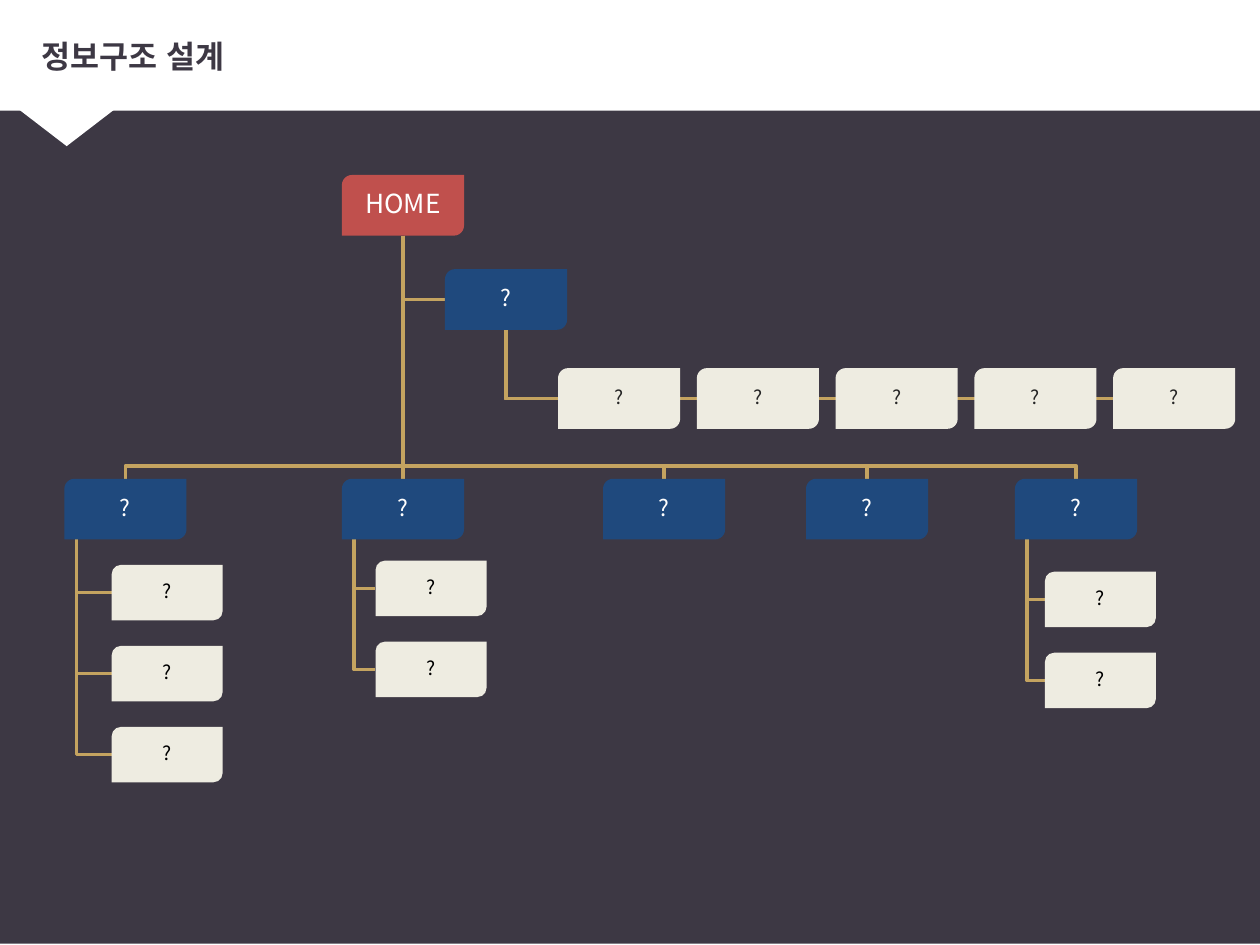
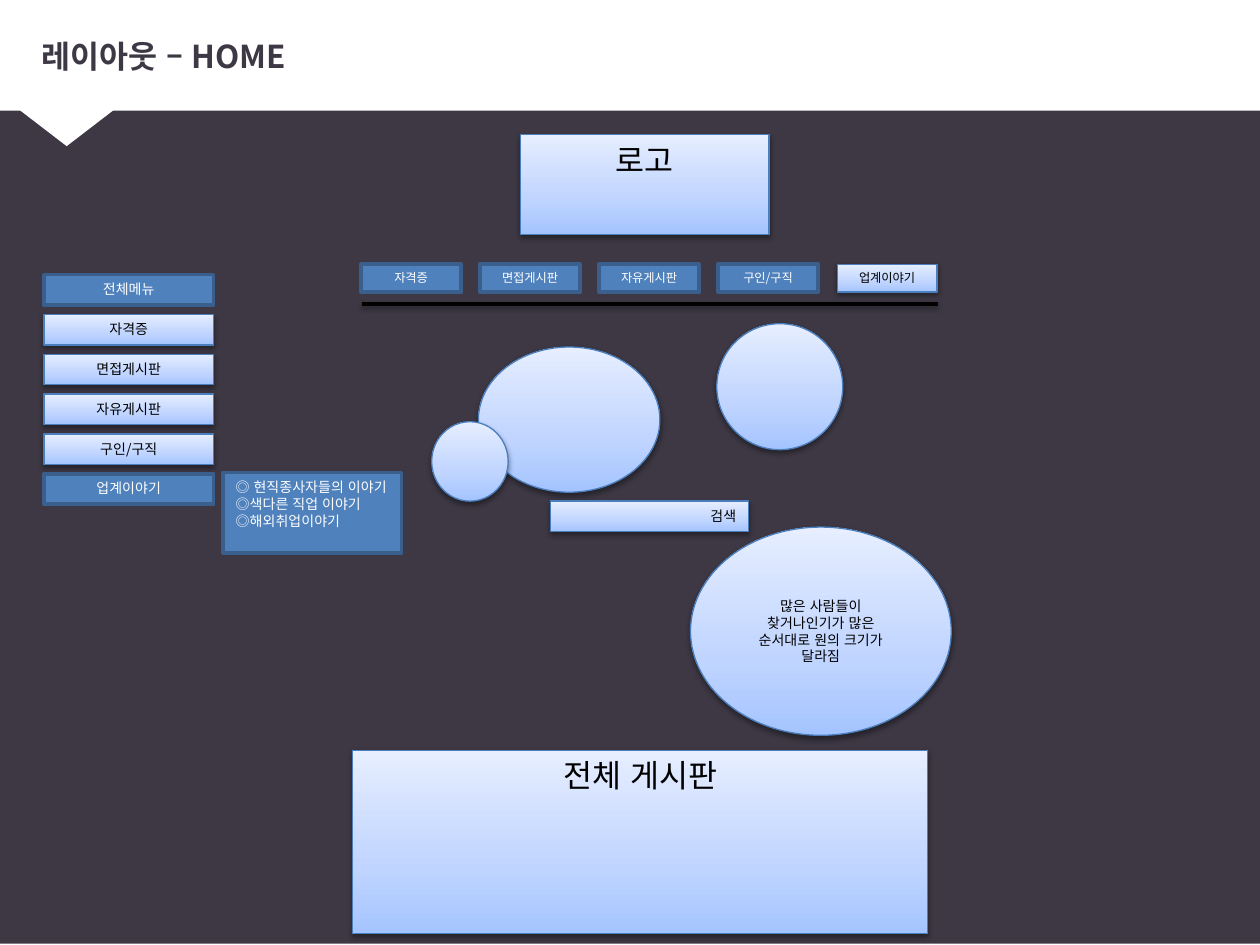
from dataclasses import dataclass

from lxml import etree
from pptx import Presentation
from pptx import util as u
from pptx.dml import color
from pptx.enum import lang, shapes, text
from pptx.oxml import ns

Pt = u.Pt
KIND = shapes.MSO_SHAPE
ALIGN = text.PP_ALIGN
ANCHOR = text.MSO_ANCHOR


@dataclass(frozen=True)
class Theme:
    """Colours, font and type sizes of the deck."""
    font: str = "Noto Sans CJK KR"
    dark: str = "3D3844"
    white: str = "FFFFFF"
    black: str = "000000"
    soft_black: str = "262626"
    link: str = "C4A360"
    home: str = "C0504D"
    section: str = "1F497D"
    card: str = "EEECE1"
    solid: str = "4F81BD"
    solid_edge: str = "3A5F8C"
    glass_edge: str = "4B7EBC"
    glass: tuple = ((0, "A4C4FF"), (35, "BFD4FF"), (100, "E6EEFF"))
    title_size: float = 18
    home_size: float = 15
    section_size: float = 13
    card_size: float = 11
    body_size: float = 8
    nav_size: float = 7


def rgb(value):
    """Turn a hex string into a colour."""
    return color.RGBColor.from_string(value)


def add_node(parent, tag, **attributes):
    """Append a DrawingML element to a parent."""
    values = {name: str(value) for name, value in attributes.items()}
    return etree.SubElement(parent, ns.qn(tag), values)


class Deck:
    """Holds the theme, the presentation and the current slide."""

    def __init__(self, theme):
        """Start an empty 4:3 presentation."""
        self.theme = theme
        self.presentation = Presentation()
        self.presentation.slide_width = Pt(720)
        self.presentation.slide_height = Pt(540)
        self.slide = None

    def new_slide(self, title):
        """Add a slide with the dark field, white band, pointer and title."""
        theme = self.theme
        layout = self.presentation.slide_layouts[6]
        self.slide = self.presentation.slides.add_slide(layout)
        self.shape(KIND.RECTANGLE, (0, -0.7, 730, 540), theme.dark)
        self.shape(KIND.RECTANGLE, (-2, -1.4, 732, 64.6), theme.white)
        pointer = self.shape(KIND.ISOSCELES_TRIANGLE,
                             (-14.4, 43.2, 105, 40.3), theme.white)
        pointer.rotation = 180
        box = self.slide.shapes.add_textbox(*map(Pt, (16.6, 9.4, 695.5, 44.6)))
        self.set_text(box, [title], theme.title_size, theme.dark,
                      align=ALIGN.LEFT, bold=True)

    def shape(self, kind, place, fill):
        """Add a flat preset shape without outline."""
        shape = self.slide.shapes.add_shape(kind, *map(Pt, place))
        shape.shadow.inherit = False
        shape.fill.solid()
        shape.fill.fore_color.rgb = rgb(fill)
        shape.line.fill.background()
        return shape

    def set_text(self, shape, lines, size, ink, align=ALIGN.CENTER,
                 anchor=ANCHOR.MIDDLE, bold=False):
        """Fill a shape with one paragraph per line."""
        frame = shape.text_frame
        frame.word_wrap = True
        frame.vertical_anchor = anchor
        frame.text = "\n".join(lines)
        for paragraph in frame.paragraphs:
            paragraph.alignment = align
            font = paragraph.font
            font.size = Pt(size)
            font.bold = bold
            font.color.rgb = rgb(ink)
            font.name = self.theme.font
            font.language_id = lang.MSO_LANGUAGE_ID.KOREAN
            defaults = paragraph._p.pPr.find(ns.qn("a:defRPr"))
            add_node(defaults, "a:ea", typeface=self.theme.font)

    def node(self, place, fill, label, size, ink):
        """Add a labelled box of the site map."""
        shape = self.shape(KIND.ROUND_2_DIAG_RECTANGLE, place, fill)
        self.set_text(shape, [label], size, ink)
        frame = shape.text_frame
        frame.margin_left = frame.margin_right = Pt(0.7)
        frame.margin_top = frame.margin_bottom = Pt(0.7)
        frame.paragraphs[0].line_spacing = 0.9

    def link(self, *points):
        """Draw an open bent line through the points."""
        start, *rest = [(Pt(x), Pt(y)) for x, y in points]
        builder = self.slide.shapes.build_freeform(*start)
        builder.add_line_segments(rest, close=False)
        shape = builder.convert_to_shape()
        shape.shadow.inherit = False
        shape.fill.background()
        shape.line.color.rgb = rgb(self.theme.link)
        shape.line.width = Pt(2)

    def drop_shadow(self, effects):
        """Put a soft downward shadow into an effect list."""
        shadow = add_node(effects, "a:outerShdw", blurRad=Pt(3.15),
                          dist=Pt(1.57), dir=5400000, rotWithShape=0)
        ink = add_node(shadow, "a:srgbClr", val=self.theme.black)
        add_node(ink, "a:alpha", val=38000)

    def glass(self, kind, place):
        """Add a shape with the pale gradient and a shadow."""
        shape = self.shape(kind, place, self.theme.white)
        shape.line.color.rgb = rgb(self.theme.glass_edge)
        shape.line.width = Pt(0.75)
        shape.fill.gradient()
        properties = shape.element.spPr
        gradient = properties.find(ns.qn("a:gradFill"))
        for child in list(gradient):
            gradient.remove(child)
        stops = add_node(gradient, "a:gsLst")
        for position, value in self.theme.glass:
            stop = add_node(stops, "a:gs", pos=position * 1000)
            add_node(stop, "a:srgbClr", val=value)
        add_node(gradient, "a:lin", ang=270 * 60000, scaled=0)
        self.drop_shadow(properties.find(ns.qn("a:effectLst")))
        return shape

    def panel(self, place, lines, size, solid=False, align=ALIGN.CENTER):
        """Add a wireframe box, solid blue or glass, with text at its top."""
        theme = self.theme
        if solid:
            shape = self.shape(KIND.RECTANGLE, place, theme.solid)
            shape.line.color.rgb = rgb(theme.solid_edge)
            shape.line.width = Pt(2)
        else:
            shape = self.glass(KIND.RECTANGLE, place)
        ink = theme.white if solid else theme.black
        self.set_text(shape, lines, size, ink, align, ANCHOR.TOP)
        shape.text_frame.auto_size = text.MSO_AUTO_SIZE.SHAPE_TO_FIT_TEXT

    def rule(self, left, right, top):
        """Draw a black horizontal line with a shadow."""
        line = self.slide.shapes.add_connector(
            shapes.MSO_CONNECTOR.STRAIGHT, *map(Pt, (left, top, right, top)))
        line.line.color.rgb = rgb(self.theme.black)
        line.line.width = Pt(2)
        self.drop_shadow(add_node(line.element.spPr, "a:effectLst"))


def site_map(deck):
    """Build the information architecture slide."""
    theme = deck.theme
    deck.new_slide("정보구조 설계")
    wide, high = 69.8, 34.7
    small_wide, small_high, small_step = 63.4, 31.7, 46.3
    home_left, home_top = 195.4, 100
    home_exit = (home_left + wide / 2, home_top + high)
    trunk = home_exit[0]

    # Side branch: one section leading to a row of cards
    side_left, side_top = 254.3, 153.8
    side_middle = side_top + high / 2
    row_top = 210.4
    row_middle = row_top + high / 2
    card_lefts = [318.9 + 79.3 * index for index in range(5)]
    side_exit = (side_left + wide / 2, side_top + high)
    deck.link(home_exit, (trunk, side_middle), (side_left, side_middle))
    for left in card_lefts:
        deck.link(side_exit, (side_exit[0], row_middle), (left, row_middle))
    for left in card_lefts:
        deck.node((left, row_top, wide, high), theme.card, "?",
                  theme.card_size, theme.soft_black)
    deck.node((side_left, side_top, wide, high), theme.section, "?",
              theme.section_size, theme.white)

    # Main sections: left, children's left, first child's top, child count
    section_top, bus = 273.6, 266.2
    sections = ((36.8, 63.8, 322.8, 3), (home_left, 214.6, 320.4, 2),
                (344.6, 0, 0, 0), (460.6, 0, 0, 0), (580, 597.1, 326.7, 2))
    for left, child_left, first_top, count in sections:
        center, stem = left + wide / 2, left + 7
        deck.link(home_exit, (trunk, bus), (center, bus),
                  (center, section_top))
        for index in range(count):
            top = first_top + index * small_step
            middle = top + small_high / 2
            deck.link((stem, section_top + high), (stem, middle),
                      (child_left, middle))
            deck.node((child_left, top, small_wide, small_high), theme.card,
                      "?", theme.card_size, theme.black)
        deck.node((left, section_top, wide, high), theme.section, "?",
                  theme.section_size, theme.white)
    deck.node((home_left, home_top, wide, high), theme.home, "HOME",
              theme.home_size, theme.white)


def home_layout(deck):
    """Build the home page wireframe slide."""
    theme = deck.theme
    deck.new_slide("레이아웃 – HOME")
    deck.panel((297.4, 77, 142, 57), ["로고"], theme.title_size)

    boards = ["자격증", "면접게시판", "자유게시판", "구인/구직", "업계이야기"]
    for index, label in enumerate(boards):
        deck.panel((206.4 + 68 * index, 151, 57, 16), [label],
                   theme.nav_size, solid=label != boards[-1])
    deck.rule(206.6, 535.8, 173.6)

    menu = ["전체메뉴"] + boards
    for index, label in enumerate(menu):
        deck.panel((25.2, 157 + 22.75 * index, 96.8, 17.4), [label],
                   theme.body_size, solid=label in (menu[0], menu[-1]))
    submenu = ["◎ 현직종사자들의 이야기", "◎색다른 직업 이야기", "◎해외취업이야기"]
    deck.panel((127.6, 270, 102, 46), submenu, theme.body_size,
               solid=True, align=ALIGN.LEFT)

    for place in ((273.4, 198.3, 103.7, 83), (409.6, 185, 72, 72),
                  (246.7, 241, 43.7, 45.4)):
        deck.glass(KIND.OVAL, place)
    deck.panel((314.4, 286.3, 113.4, 17.4), ["검색"], theme.body_size,
               align=ALIGN.RIGHT)
    popular = deck.glass(KIND.OVAL, (394.6, 301.2, 149, 119))
    deck.set_text(
        popular,
        ["많은 사람들이 찾거나인기가 많은 순서대로 원의 크기가 달라짐"],
        theme.body_size, theme.black)
    deck.panel((201.4, 428.7, 328.8, 104.9), ["전체 게시판"],
               theme.title_size)


def main():
    """Build and save the deck."""
    deck = Deck(Theme())
    site_map(deck)
    home_layout(deck)
    deck.presentation.save("out.pptx")


main()
